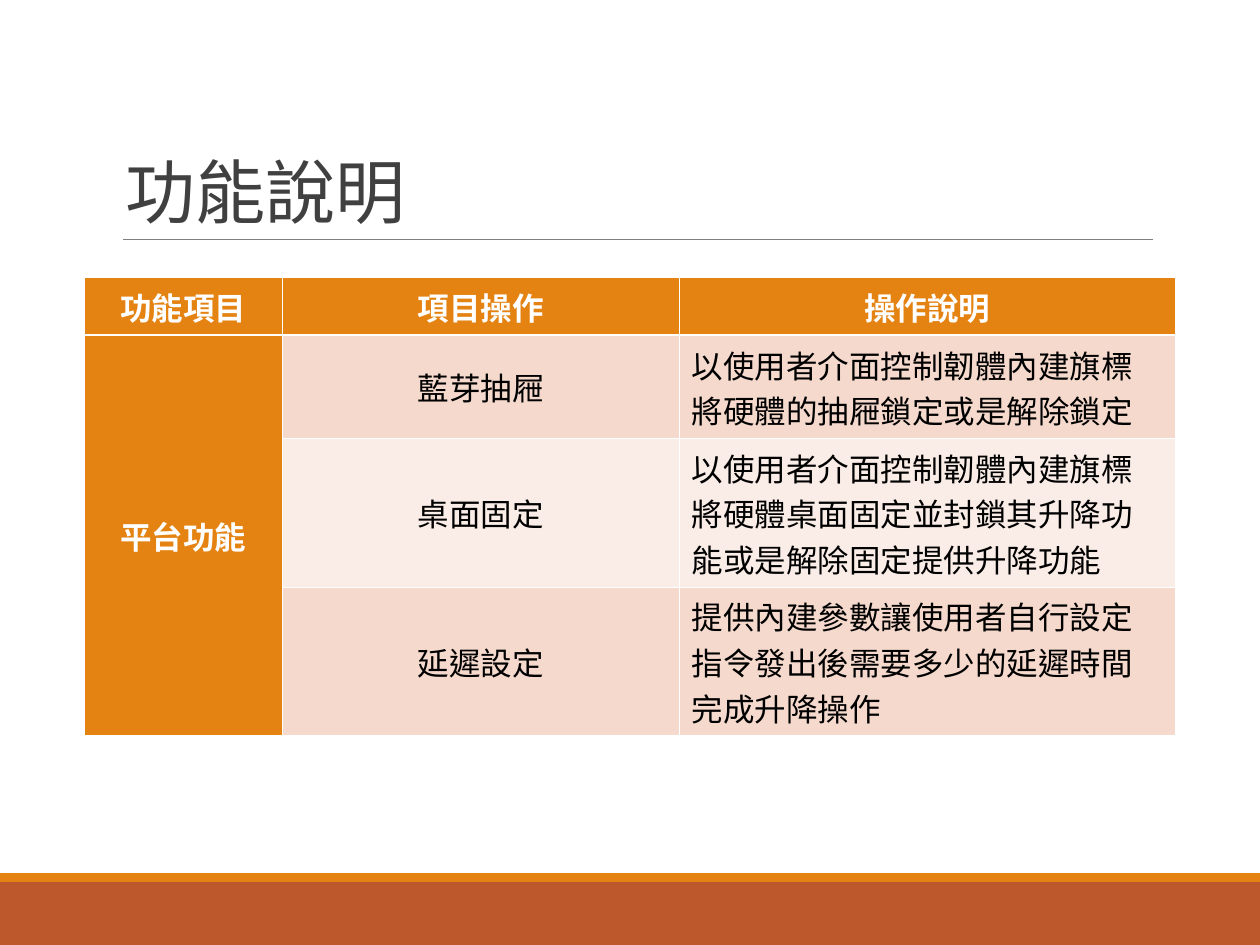
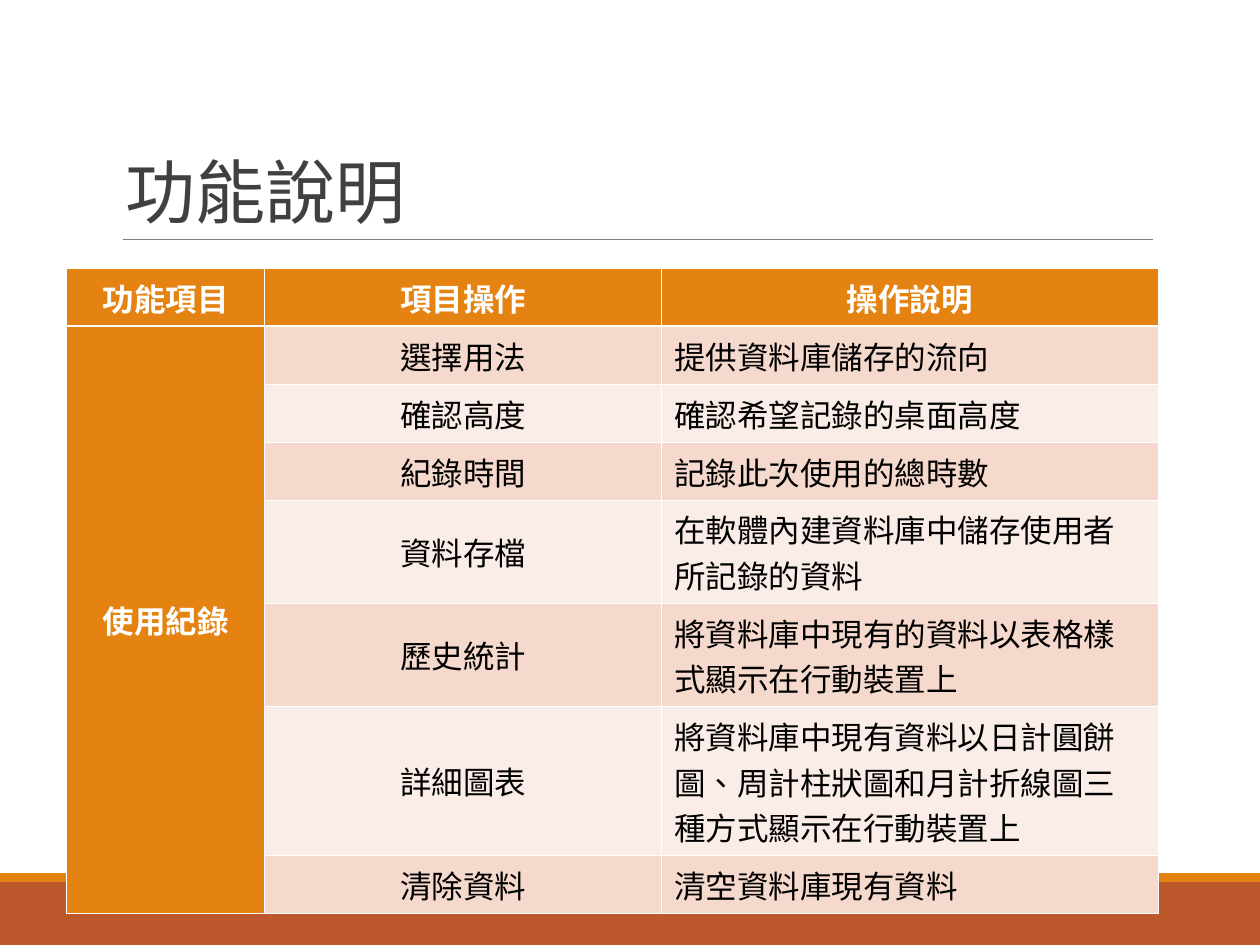
from dataclasses import dataclass
from lxml.etree import SubElement
from pptx import Presentation
from pptx.dml.color import RGBColor
from pptx.enum.shapes import MSO_CONNECTOR, MSO_SHAPE
from pptx.enum.text import MSO_ANCHOR, PP_ALIGN
from pptx.oxml.ns import qn
from pptx.util import Inches, Pt


@dataclass(frozen=True)
class Theme:
    """Colours, fonts and sizes that the slides share."""
    rust: str = "BD582C"
    amber: str = "E48312"
    rule: str = "7F7F7F"
    title: str = "404040"
    white: str = "FFFFFF"
    black: str = "000000"
    bands: tuple = ("F5D9CC", "FAEDE7")
    latin: str = "Calibri"
    asian: str = "Noto Sans CJK SC"
    tongue: str = "zh-TW"
    head: int = 40
    body: int = 18
    thin: float = 0.45
    thick: float = 1.47


THEME = Theme()
COLS, ROWS = 10, 7.5
WIDTHS = (1.57, 3.15, 3.94)
PAD, LINE = 0.1, 0.36
HEADS = ("功能項目", "項目操作", "操作說明")
TITLE = "功能說明"

PLATFORM = (
    ("藍芽抽屜", "以使用者介面控制韌體內建旗標將硬體的抽屜鎖定或是解除鎖定", 2),
    ("桌面固定", "以使用者介面控制韌體內建旗標將硬體桌面固定並封鎖其升降功能或是解除固定提供升降功能", 3),
    ("延遲設定", "提供內建參數讓使用者自行設定指令發出後需要多少的延遲時間完成升降操作", 3),
)
RECORDS = (
    ("選擇用法", "提供資料庫儲存的流向", 1),
    ("確認高度", "確認希望記錄的桌面高度", 1),
    ("紀錄時間", "記錄此次使用的總時數", 1),
    ("資料存檔", "在軟體內建資料庫中儲存使用者所記錄的資料", 2),
    ("歷史統計", "將資料庫中現有的資料以表格樣式顯示在行動裝置上", 2),
    ("詳細圖表", "將資料庫中現有資料以日計圓餅圖、周計柱狀圖和月計折線圖三種方式顯示在行動裝置上", 3),
    ("清除資料", "清空資料庫現有資料", 1),
)


def grid(*cells):
    """Turn grid columns and rows, one inch each, into lengths."""
    return [Inches(cell) for cell in cells]


def tint(color):
    """Make a colour from its hex code."""
    return RGBColor.from_string(color)


def style(para, face, size, color, bold=False):
    """Set the type and the language of a paragraph."""
    font = para.font
    font.name, font.size, font.bold = face, Pt(size), bold
    font.color.rgb = tint(color)
    props = para._p.pPr.find(qn("a:defRPr"))
    SubElement(props, qn("a:ea"), typeface=THEME.asian)
    for run in para.runs:
        run._r.get_or_add_rPr().set("lang", THEME.tongue)


def band(slide, top, high, color):
    """Draw a full-width footer band."""
    shape = slide.shapes.add_shape(MSO_SHAPE.RECTANGLE, *grid(0, top, COLS, high))
    shape.shadow.inherit = False
    shape.fill.solid()
    shape.fill.fore_color.rgb = tint(color)
    shape.line.fill.background()


def rule(slide, left, right, top):
    """Draw the thin line under the title."""
    line = slide.shapes.add_connector(MSO_CONNECTOR.STRAIGHT, *grid(left, top, right, top))
    line.line.color.rgb = tint(THEME.rule)
    line.line.width = Pt(0.5)
    SubElement(line._element.spPr, qn("a:effectLst"))


def title(slide, text):
    """Write the slide title just above the rule."""
    frame = slide.shapes.add_textbox(*grid(0.9, 0.31, 8.25, 1.59)).text_frame
    frame.word_wrap = True
    frame.vertical_anchor = MSO_ANCHOR.BOTTOM
    para = frame.paragraphs[0]
    para.text = text
    para.line_spacing = 0.85
    style(para, THEME.latin, THEME.head, THEME.title)


def edge(cell, side, width):
    """Draw one white side of a cell."""
    line = SubElement(cell._tc.get_or_add_tcPr(), qn(f"a:ln{side}"), w=str(Pt(width)))
    fill = SubElement(line, qn("a:solidFill"))
    SubElement(fill, qn("a:srgbClr"), val=THEME.white)


def paint(cell, row, col):
    """Give a cell its borders, fill and type by its place."""
    lead = row == 0 or col == 0
    heavy = {"T": row == 1, "B": row == 0}
    for side in "LRTB":
        edge(cell, side, THEME.thick if heavy.get(side) else THEME.thin)
    cell.fill.solid()
    cell.fill.fore_color.rgb = tint(THEME.amber if lead else THEME.bands[(row - 1) % 2])
    if row and col < 2:
        cell.vertical_anchor = MSO_ANCHOR.MIDDLE
    para = cell.text_frame.paragraphs[0]
    para.alignment = PP_ALIGN.LEFT if row and col == 2 else PP_ALIGN.CENTER
    style(para, THEME.asian, THEME.body, THEME.white if lead else THEME.black, lead)


def table(slide, left, top, group, items):
    """Build a table of one function group and its items."""
    highs = [PAD + LINE * lines for lines in (1, *(item[2] for item in items))]
    place = grid(left, top, sum(WIDTHS), sum(highs))
    sheet = slide.shapes.add_table(len(highs), len(WIDTHS), *place).table
    sheet.horz_banding = False
    for col, wide in zip(sheet.columns, grid(*WIDTHS)):
        col.width = wide
    for row, high in zip(sheet.rows, grid(*highs)):
        row.height = high
    texts = [HEADS] + [("", name, note) for name, note, _ in items]
    texts[1] = (group, *texts[1][1:])
    for row, line in enumerate(texts):
        for col, text in enumerate(line):
            cell = sheet.cell(row, col)
            cell.text = text
            paint(cell, row, col)
    sheet.cell(1, 0).merge(sheet.cell(len(items), 0))


def page(deck, left, top, group, items):
    """Add a slide with the shared frame and one table."""
    slide = deck.slides.add_slide(deck.slide_layouts[6])
    band(slide, 7, 0.5, THEME.rust)
    band(slide, 6.93, 0.07, THEME.amber)
    rule(slide, 0.98, 9.15, 1.9)
    title(slide, TITLE)
    table(slide, left, top, group, items)


def main():
    """Build and save the deck."""
    deck = Presentation()
    deck.slide_width, deck.slide_height = grid(COLS, ROWS)
    page(deck, 0.67, 2.2, "平台功能", PLATFORM)
    page(deck, 0.53, 2.13, "使用紀錄", RECORDS)
    deck.save("out.pptx")


if __name__ == "__main__":
    main()
